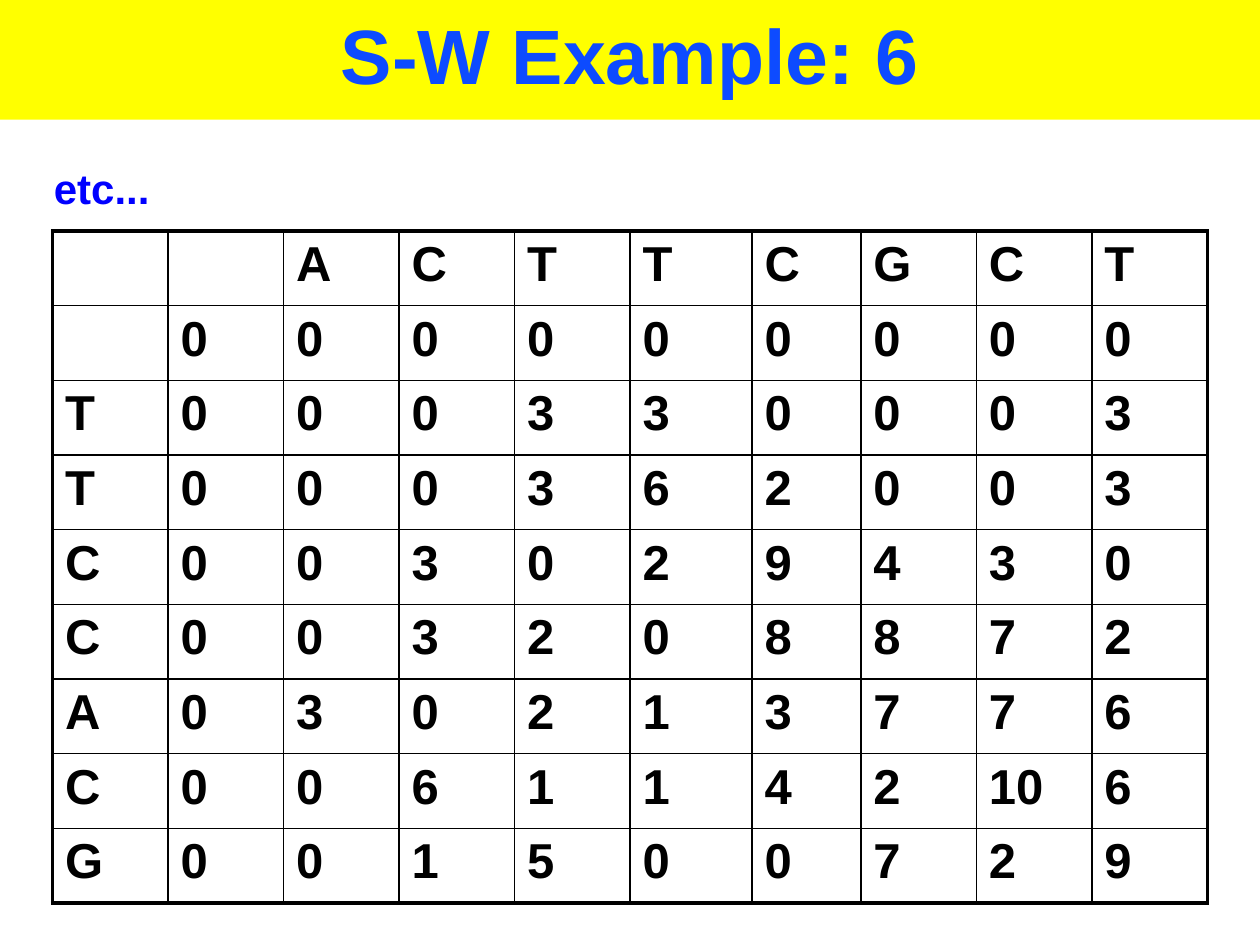
from lxml.etree import SubElement
from pptx import Presentation
from pptx.dml.color import RGBColor
from pptx.enum.shapes import MSO_SHAPE as SHAPE
from pptx.enum.text import MSO_ANCHOR as ANCHOR, PP_ALIGN as ALIGN
from pptx.oxml.ns import qn
from pptx.util import Pt

TITLE = "S-W Example: 6"
NOTE = "etc..."
ACROSS = "ACTTCGCT"
DOWN = "TTCCACG"
SCORES = [
    [0, 0, 0, 0, 0, 0, 0, 0, 0],
    [0, 0, 0, 3, 3, 0, 0, 0, 3],
    [0, 0, 0, 3, 6, 2, 0, 0, 3],
    [0, 0, 3, 0, 2, 9, 4, 3, 0],
    [0, 0, 3, 2, 0, 8, 8, 7, 2],
    [0, 3, 0, 2, 1, 3, 7, 7, 6],
    [0, 0, 6, 1, 1, 4, 2, 10, 6],
    [0, 0, 1, 5, 0, 0, 7, 2, 9],
]
COL_WIDTHS = [66] * 5 + [69.75, 62.25] + [66] * 3
TABLE_LEFT, TABLE_TOP, TABLE_HEIGHT = 30, 132, 384
INNER, OUTER = 1, 2.25


def rgb(value):
    return RGBColor.from_string(value)


def add_text(p, text, size, color):
    r = p.add_run()
    r.text = text
    r.font.name = "Arial"
    r.font.size = Pt(size)
    r.font.bold = True
    r.font.color.rgb = rgb(color)


def set_border(cell, side, width):
    ln = SubElement(cell._tc.get_or_add_tcPr(), qn("a:" + side), w=str(Pt(width)))
    fill = SubElement(ln, qn("a:solidFill"))
    SubElement(fill, qn("a:srgbClr"), val="000000")


prs = Presentation()
prs.slide_width, prs.slide_height = Pt(720), Pt(540)
s = prs.slides.add_slide(prs.slide_layouts[6])

# Title band
sp = s.shapes.add_shape(SHAPE.RECTANGLE, 0, 0, Pt(720), Pt(68.4))
sp.shadow.inherit = False
sp.fill.solid()
sp.fill.fore_color.rgb = rgb("FFFF00")
sp.line.fill.background()
tf = sp.text_frame
tf.word_wrap = True
tf.vertical_anchor = ANCHOR.MIDDLE
p = tf.paragraphs[0]
p.alignment = ALIGN.CENTER
p.line_spacing = 0.9
add_text(p, TITLE, 44, "0D4BFF")

# Score matrix
rows = [["", "", *ACROSS]]
rows += [[base, *map(str, line)] for base, line in zip(" " + DOWN, SCORES)]
n_rows, n_cols = len(rows), len(COL_WIDTHS)
frame = s.shapes.add_table(n_rows, n_cols, Pt(TABLE_LEFT), Pt(TABLE_TOP),
                           Pt(sum(COL_WIDTHS)), Pt(TABLE_HEIGHT))
table = frame.table
table.first_row = table.horz_banding = False
for col, width in zip(table.columns, COL_WIDTHS):
    col.width = Pt(width)

for i, values in enumerate(rows):
    for j, value in enumerate(values):
        cell = table.cell(i, j)
        if value.strip():
            add_text(cell.text_frame.paragraphs[0], value, 28, "000000")
        # Heavy lines only on the outer edge
        edges = {"lnL": j == 0, "lnR": j == n_cols - 1,
                 "lnT": i == 0, "lnB": i == n_rows - 1}
        for side, is_outer in edges.items():
            set_border(cell, side, OUTER if is_outer else INNER)
        cell.fill.background()

# Note above the matrix
tf = s.shapes.add_textbox(Pt(23.75), Pt(89.3), Pt(618), Pt(36)).text_frame
tf.word_wrap = True
tf.vertical_anchor = ANCHOR.BOTTOM
add_text(tf.paragraphs[0], NOTE, 24, "0000FF")

prs.save("out.pptx")
